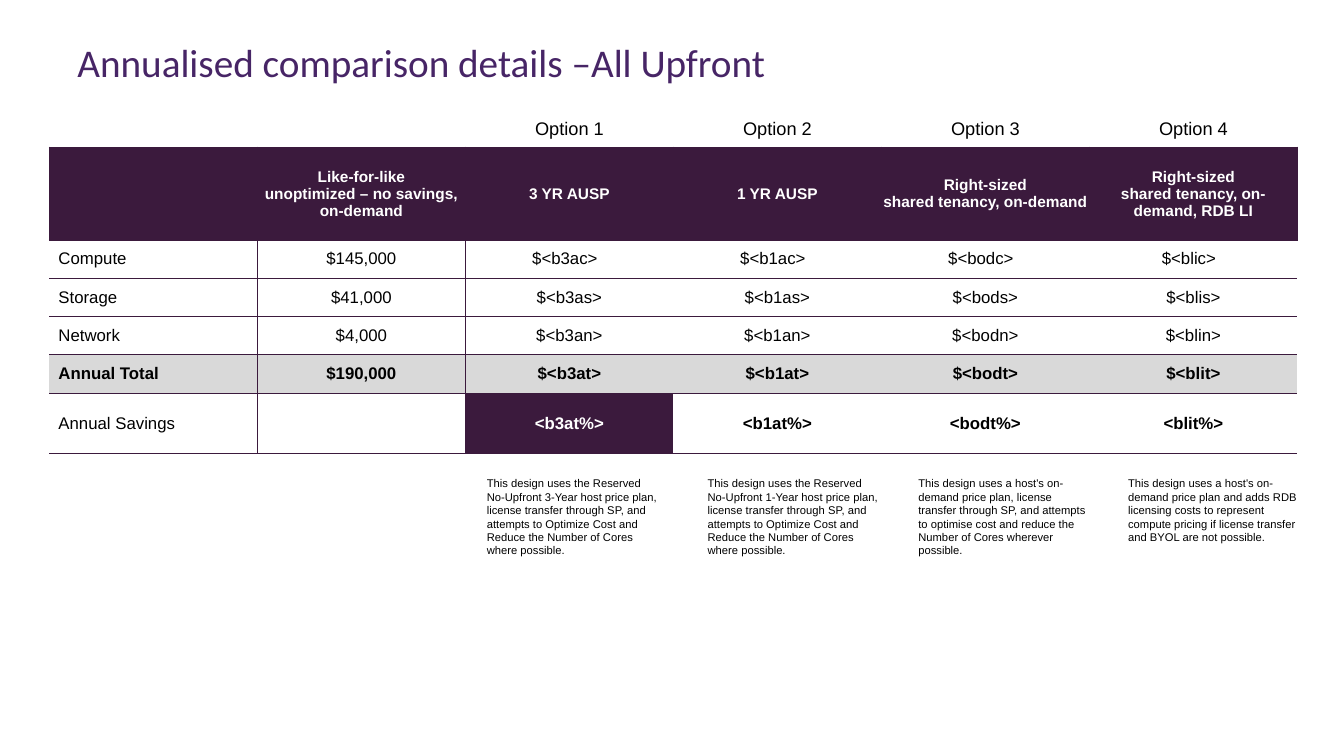
from lxml.etree import SubElement
from pptx import Presentation
from pptx.dml.color import RGBColor
from pptx.enum.text import MSO_ANCHOR, PP_ALIGN
from pptx.oxml.ns import qn
from pptx.util import Inches, Pt

HUES = {"plum": "3B1A3D", "title": "472566", "grey": "D9D9D9",
        "black": "000000", "white": "FFFFFF"}


class Deck:
    def __init__(self):
        self.prs = Presentation()
        self.prs.slide_width = Inches(13.33)
        self.prs.slide_height = Inches(7.5)
        self.slide = self.prs.slides.add_slide(self.prs.slide_layouts[6])

    def hue(self, name):
        return RGBColor.from_string(HUES[name])

    def run(self, para, text, size, hue="black", bold=False, face="Arial"):
        run = para.add_run()
        run.text = text
        run.font.size = Pt(size)
        run.font.name = face
        run.font.bold = bold
        run.font.color.rgb = self.hue(hue)

    def text(self, box, text, size, **look):
        frame = self.slide.shapes.add_textbox(*map(Inches, box)).text_frame
        frame.word_wrap = True
        self.run(frame.paragraphs[0], text, size, **look)
        return frame

    def table(self, box, rows, cols):
        frame = self.slide.shapes.add_table(len(rows), cols, *map(Inches, box))
        grid = frame.table
        grid.first_row = grid.horz_banding = False
        for col in grid.columns:
            col.width = Inches(box[2] / cols)
        for row, high in zip(grid.rows, rows):
            row.height = Inches(high)
        return grid

    def cell(self, cell, lines, size, hue="black", bold=False, fill=None,
             sides="", left=0, right=0, align=PP_ALIGN.CENTER):
        cell.margin_left, cell.margin_right = Inches(left), Inches(right)
        cell.margin_top = cell.margin_bottom = 0
        cell.vertical_anchor = MSO_ANCHOR.MIDDLE
        frame = cell.text_frame
        for i, line in enumerate(lines):
            para = frame.add_paragraph() if i else frame.paragraphs[0]
            para.alignment = align
            self.run(para, line, size, hue, bold)
        if not lines:  # small font keeps an empty row from growing
            SubElement(frame.paragraphs[0]._p, qn("a:endParaRPr"), sz="100")
        self.edge(cell, sides)
        if fill:
            cell.fill.solid()
            cell.fill.fore_color.rgb = self.hue(fill)
        else:
            cell.fill.background()

    def edge(self, cell, sides):
        props = cell._tc.get_or_add_tcPr()
        for side in "LRTB":
            line = SubElement(props, qn("a:ln" + side), w=str(Pt(1)))
            if side in sides:
                tint = SubElement(line, qn("a:solidFill"))
                SubElement(tint, qn("a:srgbClr"), val=HUES["plum"])
            else:
                SubElement(line, qn("a:noFill"))


HEADS = [[], ["Like-for-like", "unoptimized – no savings, on-demand"],
         ["3 YR AUSP"], ["1 YR AUSP"],
         ["Right-sized", "shared tenancy, on-demand"],
         ["Right-sized", "shared tenancy, on-demand, RDB LI"]]
CODES = ["b3a", "b1a", "bod", "bli"]
COSTS = [("Compute", "$145,000", "c"), ("Storage", "$41,000", "s"),
         ("Network", "$4,000", "n"), ("Annual Total", "$190,000", "t")]
GAINS = ["<b3at%>", "<b1at%>", "<bodt%>", "<blit%>"]
YEARS = ("This design uses the Reserved No-Upfront {}-Year host price plan, "
         "license transfer through SP, and attempts to Optimize Cost and "
         "Reduce the Number of Cores where possible.")
NOTES = [
    (4.73, YEARS.format(3)),
    (6.92, YEARS.format(1)),
    (9.01, "This design uses a host's on-demand price plan, license transfer "
           "through SP, and attempts to optimise cost and reduce the Number "
           "of Cores wherever possible."),
    (11.09, "This design uses a host's on-demand price plan and adds RDB "
            "licensing costs to represent compute pricing if license "
            "transfer and BYOL are not possible."),
]


def main():
    deck = Deck()

    # Title
    frame = deck.text((0.67, 0.35, 12.2, 0.59),
                      "Annualised comparison details –All Upfront", 28,
                      hue="title", face="Calibri")
    frame.vertical_anchor = MSO_ANCHOR.MIDDLE
    frame.paragraphs[0].line_spacing = 0.9

    # Table grid
    rows = [0.36, 0.19, 0.51, 0.18] + [0.38] * 4 + [0.6]
    grid = deck.table((0.49, 1.1, 12.38, sum(rows)), rows, 6)

    # Option labels and header band
    for c, head in enumerate(HEADS):
        label = [f"Option {c - 1}"] if c > 1 else []
        deck.cell(grid.cell(0, c), label, 13)
        for r in (1, 2, 3):
            deck.cell(grid.cell(r, c), head if r == 2 else [], 11, "white",
                      True, "plum", "LRTB")
    grid.cell(1, 0).merge(grid.cell(3, 0))

    # Costs and savings
    body = [[name, base] + [f"$<{code}{key}>" for code in CODES]
            for name, base, key in COSTS]
    body.append(["Annual Savings", ""] + GAINS)
    for r, row in enumerate(body):
        total, gain = r == 3, r == 4
        for c, word in enumerate(row):
            best = gain and c == 2
            deck.cell(grid.cell(r + 4, c), [word] if word else [], 12,
                      hue="white" if best else "black",
                      bold=total or gain and c > 1,
                      fill="plum" if best else "grey" if total else None,
                      sides=["TRB", "LTRB", "LTB"][c] if c < 3 else "TB",
                      left=0 if c else 0.09,
                      right=0.09 if r == 0 and c > 1 else 0,
                      align=PP_ALIGN.CENTER if c else PP_ALIGN.LEFT)

    # Notes under the options
    for left, note in NOTES:
        deck.text((left, 4.68, 1.93, 0.91), note, 8)

    deck.prs.save("out.pptx")


if __name__ == "__main__":
    main()
